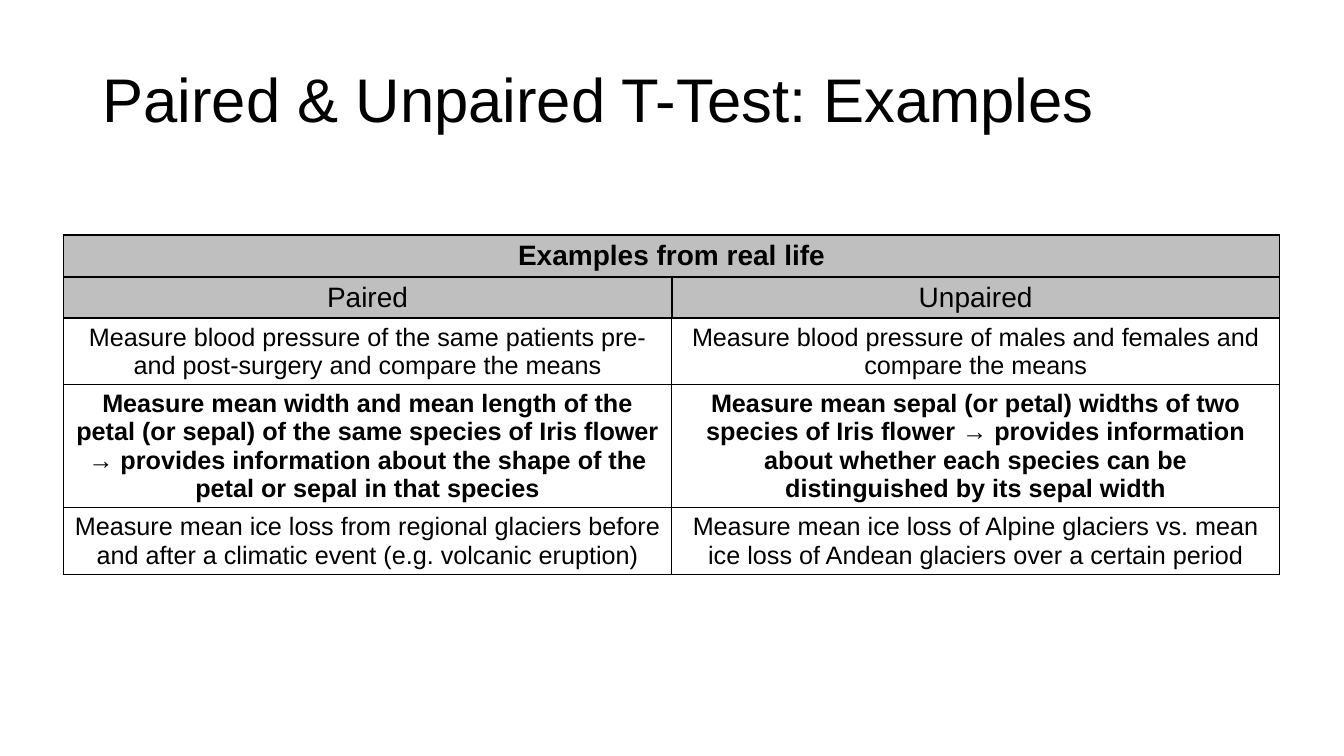
import pptx
import pptx.util
import pptx.dml.color
import pptx.enum.text
import pptx.oxml
import pptx.oxml.ns

Cm, Pt = pptx.util.Cm, pptx.util.Pt
FONT, BLACK, GREY = "Arial", "000000", "BFBFBF"

# Each row: texts, size, bold, fill, height in cm
ROWS = [
    (["Examples from real life"], 20, True, GREY, 1.05),
    (["Paired", "Unpaired"], 20, False, GREY, 1.05),
    (["Measure blood pressure of the same patients pre- and post-surgery "
      "and compare the means",
      "Measure blood pressure of males and females and compare the means"],
     18, False, None, 1.67),
    (["Measure mean width and mean length of the petal (or sepal) of the same "
      "species of Iris flower → provides information about the shape of the "
      "petal or sepal in that species",
      "Measure mean sepal (or petal) widths of two species of Iris flower → "
      "provides information about whether each species can be distinguished "
      "by its sepal width"],
     18, True, None, 3.1),
    (["Measure mean ice loss from regional glaciers before and after a "
      "climatic event (e.g. volcanic eruption)",
      "Measure mean ice loss of Alpine glaciers vs. mean ice loss of Andean "
      "glaciers over a certain period"],
     18, False, None, 1.67),
]
HEADER_ROWS = 2


def rgb(color):
    return pptx.dml.color.RGBColor.from_string(color)


def add_run(p, text, size, bold=False):
    r = p.add_run()
    r.text = text
    r.font.name, r.font.size, r.font.bold = FONT, Pt(size), bold
    r.font.color.rgb = rgb(BLACK)


def set_border(cell, side, width):
    cell._tc.get_or_add_tcPr().append(pptx.oxml.parse_xml(
        f'<a:ln{side} {pptx.oxml.ns.nsdecls("a")} w="{Pt(width)}">'
        f'<a:solidFill><a:srgbClr val="{BLACK}"/></a:solidFill></a:ln{side}>'))


def add_title(s, left, top, width, height, text):
    sp = s.shapes.title
    sp.left, sp.top, sp.width, sp.height = left, top, width, height
    tf = sp.text_frame
    tf.word_wrap = True
    tf.vertical_anchor = pptx.enum.text.MSO_ANCHOR.MIDDLE
    p = tf.paragraphs[0]
    p.alignment = pptx.enum.text.PP_ALIGN.LEFT
    p.line_spacing = 0.9
    add_run(p, text, 44)


def add_examples_table(s, left, top, width):
    height = Cm(sum(row[-1] for row in ROWS))
    table = s.shapes.add_table(len(ROWS), 2, left, top, width, height).table
    table.horz_banding = False
    table.cell(0, 0).merge(table.cell(0, 1))
    for i, (texts, size, bold, fill, row_height) in enumerate(ROWS):
        table.rows[i].height = Cm(row_height)
        for j in range(2):
            cell = table.cell(i, j)
            # Borders: heavier around the header rows
            header = i < HEADER_ROWS
            inner = 1.5 if i == 1 else 1
            set_border(cell, "L", inner if j == 1 else 1)
            set_border(cell, "R", inner if j == 0 else 1)
            set_border(cell, "T", 1.5 if i <= HEADER_ROWS else 1)
            set_border(cell, "B", 1.5 if header else 1)
            # Fill
            if fill:
                cell.fill.solid()
                cell.fill.fore_color.rgb = rgb(fill)
            else:
                cell.fill.background()
            # Text
            if j < len(texts):
                cell.vertical_anchor = pptx.enum.text.MSO_ANCHOR.MIDDLE
                p = cell.text_frame.paragraphs[0]
                p.alignment = pptx.enum.text.PP_ALIGN.CENTER
                add_run(p, texts[j], size, bold)


def main():
    prs = pptx.Presentation()
    prs.slide_width, prs.slide_height = Cm(33.87), Cm(19.05)
    s = prs.slides.add_slide(prs.slide_layouts.get_by_name("Title Only"))
    add_title(s, Cm(2.33), Cm(0.74), Cm(29.21), Cm(3.68),
              "Paired & Unpaired T-Test: Examples")
    add_examples_table(s, Cm(1.6), Cm(5.92), Cm(30.65))
    prs.save("out.pptx")


if __name__ == "__main__":
    main()
